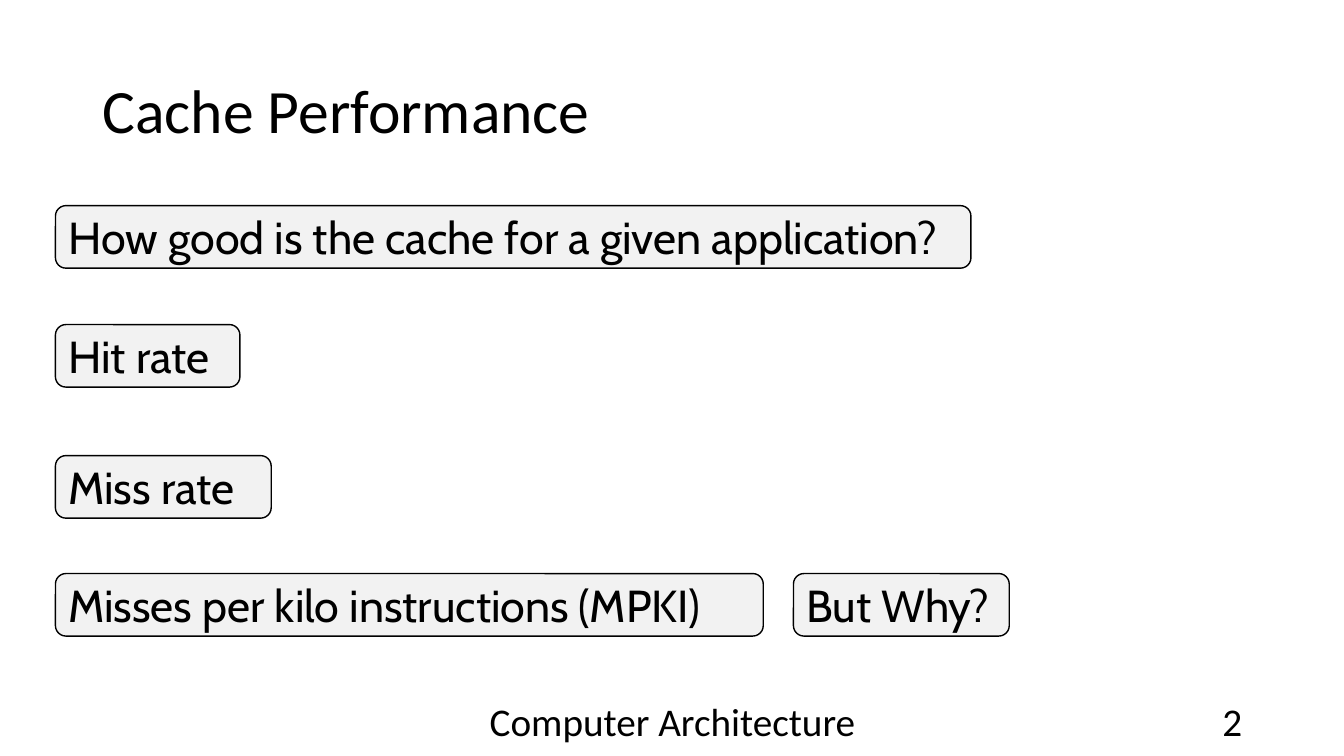
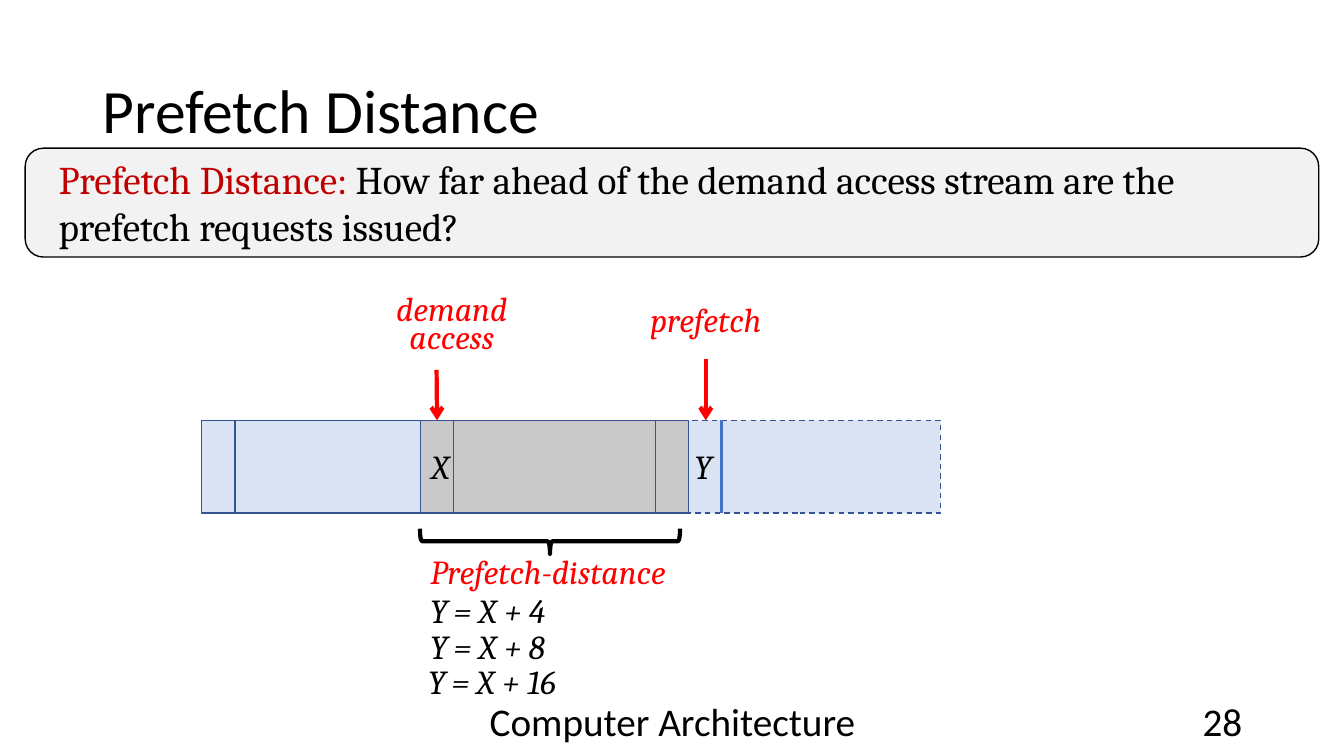
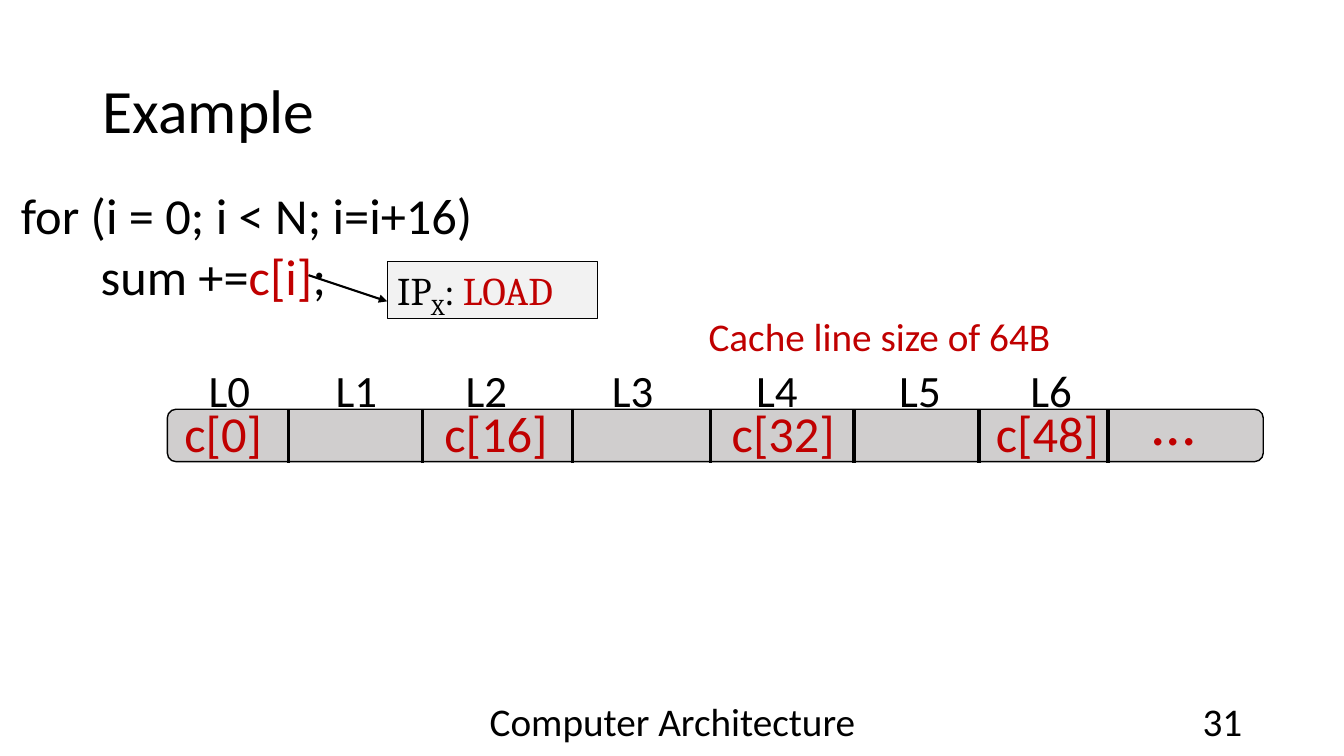
import dataclasses
import typing

import lxml.etree
import pptx
import pptx.dml.color
import pptx.enum.dml
import pptx.enum.shapes
import pptx.enum.text
import pptx.oxml.ns
import pptx.util

EMU_PER_PX = 9144
SHAPE = pptx.enum.shapes.MSO_SHAPE
ALIGN = pptx.enum.text.PP_ALIGN
ANCHOR = pptx.enum.text.MSO_ANCHOR
qn = pptx.oxml.ns.qn


@dataclasses.dataclass(frozen=True)
class Theme:
    black: str = "000000"
    white: str = "FFFFFF"
    crimson: str = "C00000"
    red: str = "FF0000"
    panel: str = "F2F2F2"
    stream: str = "DAE3F3"
    stream_edge: str = "325491"
    stream_mark: str = "4472C4"
    gap: str = "C9C9C9"
    memory: str = "D0CECE"
    sans: str = "Calibri"
    serif: str = "Cambria"
    round_sans: str = "Cabin"
    title: int = 44
    code: int = 36
    heading: int = 32
    body: int = 28
    note: int = 24


THEME = Theme()


class Box(typing.NamedTuple):
    left: int
    top: int
    width: int
    height: int


class Span(typing.NamedTuple):
    text: str
    color: str = THEME.black
    baseline: int = 0


class Para(typing.NamedTuple):
    spans: tuple[Span, ...]
    indent: int = 0


@dataclasses.dataclass(frozen=True)
class TextStyle:
    font: str
    size: int
    italic: bool = False
    align: typing.Any = ALIGN.LEFT
    anchor: typing.Any = ANCHOR.MIDDLE
    spacing: typing.Any = None
    wrap: bool = True
    grow: bool = False


@dataclasses.dataclass(frozen=True)
class Look:
    fill: str | None = None
    line: str | None = None
    width: float = 1
    dashed: bool = False


TITLE = TextStyle(THEME.sans, THEME.title, spacing=0.9)
FOOTER = TextStyle(THEME.sans, THEME.body, align=ALIGN.CENTER)
PAGE_NUMBER = dataclasses.replace(FOOTER, align=ALIGN.RIGHT)
METRIC = TextStyle(THEME.round_sans, THEME.heading)
DEFINITION = TextStyle(THEME.serif, THEME.body)
CALLOUT = TextStyle(
    THEME.serif, THEME.note, italic=True, align=ALIGN.CENTER,
    spacing=pptx.util.Pt(20),
)
DISTANCE = dataclasses.replace(CALLOUT, spacing=None)
SYMBOL = TextStyle(
    THEME.serif, THEME.note, italic=True, anchor=ANCHOR.TOP, wrap=False, grow=True
)
CODE = TextStyle(THEME.sans, THEME.code, anchor=ANCHOR.TOP, grow=True)
ELEMENT = dataclasses.replace(CODE, align=ALIGN.CENTER)
ELLIPSIS = dataclasses.replace(ELEMENT, size=THEME.title)
LINE_LABEL = dataclasses.replace(CODE, size=THEME.heading, wrap=False)
LINE_SIZE = dataclasses.replace(LINE_LABEL, size=THEME.body)
INSTRUCTION = dataclasses.replace(
    CODE, font=THEME.serif, size=THEME.body
)

PANEL = Look(THEME.panel, THEME.black)
BLANK = Look(THEME.white)
STREAM = Look(THEME.stream, THEME.stream_edge)
AHEAD = dataclasses.replace(STREAM, dashed=True)
GAP = Look(THEME.gap, THEME.stream_edge)


def px(length: int) -> pptx.util.Emu:
    return pptx.util.Emu(length * EMU_PER_PX)


def rgb(color: str) -> pptx.dml.color.RGBColor:
    return pptx.dml.color.RGBColor.from_string(color)


def plain(text: str, color: str = THEME.black) -> tuple[Para, ...]:
    return (Para((Span(text, color),)),)


def write(shape: typing.Any, paras: tuple[Para, ...], style: TextStyle) -> None:
    frame = shape.text_frame
    frame.text = "\n".join(content.spans[0].text for content in paras)
    frame.word_wrap = style.wrap
    frame.vertical_anchor = style.anchor
    if style.grow:
        frame.auto_size = pptx.enum.text.MSO_AUTO_SIZE.SHAPE_TO_FIT_TEXT
    for para, content in zip(frame.paragraphs, paras):
        para.alignment = style.align
        para.line_spacing = style.spacing
        if content.indent:
            properties = para._p.get_or_add_pPr()
            properties.set("marL", str(px(content.indent)))
            properties.set("indent", "0")
        for extra in content.spans[1:]:
            para.add_run().text = extra.text
        for span, source in zip(para.runs, content.spans):
            span.font.name = style.font
            span.font.size = pptx.util.Pt(style.size)
            span.font.italic = style.italic
            span.font.color.rgb = rgb(source.color)
            if source.baseline:
                span._r.get_or_add_rPr().set("baseline", str(source.baseline * 1000))


def add_text(
    page: typing.Any, box: Box, paras: tuple[Para, ...], style: TextStyle
) -> None:
    write(page.shapes.add_textbox(*map(px, box)), paras, style)


def add_shape(
    page: typing.Any,
    kind: typing.Any,
    box: Box,
    look: Look,
    paras: tuple[Para, ...] = (),
    style: TextStyle = DEFINITION,
) -> typing.Any:
    shape = page.shapes.add_shape(kind, *map(px, box))
    shape.shadow.inherit = False
    if look.fill:
        shape.fill.solid()
        shape.fill.fore_color.rgb = rgb(look.fill)
    else:
        shape.fill.background()
    if look.line:
        shape.line.color.rgb = rgb(look.line)
        shape.line.width = pptx.util.Pt(look.width)
        if look.dashed:
            shape.line.dash_style = pptx.enum.dml.MSO_LINE.DASH
    else:
        shape.line.fill.background()
    if paras:
        write(shape, paras, style)
    return shape


def add_line(
    page: typing.Any,
    start: tuple[int, int],
    end: tuple[int, int],
    color: str,
    width: float,
    arrow: str = "",
) -> typing.Any:
    connector = page.shapes.add_connector(
        pptx.enum.shapes.MSO_CONNECTOR.STRAIGHT, *map(px, start + end)
    )
    connector.line.color.rgb = rgb(color)
    connector.line.width = pptx.util.Pt(width)
    properties = connector.element.spPr
    if arrow:
        lxml.etree.SubElement(
            properties.find(qn("a:ln")), qn("a:tailEnd"), type=arrow
        )
    lxml.etree.SubElement(properties, qn("a:effectLst"))
    return connector


def add_page(deck: typing.Any, title: str, number: int) -> typing.Any:
    page = deck.slides.add_slide(deck.slide_layouts[6])
    add_text(page, Box(92, 40, 1150, 145), plain(title), TITLE)
    add_text(page, Box(442, 695, 450, 40), plain("Computer Architecture"), FOOTER)
    add_text(page, Box(942, 695, 300, 40), plain(str(number)), PAGE_NUMBER)
    return page


def build_performance(deck: typing.Any) -> None:
    page = add_page(deck, "Cache Performance", 2)
    metrics = (
        (55, 204, 908, "How good is the cache for a given application?"),
        (55, 322, 183, "Hit rate"),
        (55, 452, 214, "Miss rate"),
        (55, 569, 702, "Misses per kilo instructions (MPKI)"),
        (787, 569, 214, "But Why?"),
    )
    for left, top, width, text in metrics:
        box = Box(left, top, width, 62)
        add_shape(page, SHAPE.ROUNDED_RECTANGLE, box, PANEL, plain(text), METRIC)


def build_distance(deck: typing.Any) -> None:
    page = add_page(deck, "Prefetch Distance", 28)
    question = "How far ahead of the demand access stream are the prefetch requests issued?"
    definition = Para((Span("Prefetch Distance: ", THEME.crimson), Span(question)), 18)
    add_shape(
        page, SHAPE.ROUNDED_RECTANGLE, Box(25, 147, 1283, 108), PANEL,
        (definition,), DEFINITION,
    )

    stream_top, stream_height = 417, 92
    segments = (
        (650, 283, AHEAD),
        (233, 417, STREAM),
        (200, 33, STREAM),
        (450, 200, GAP),
        (650, 33, GAP),
        (417, 33, GAP),
    )
    for left, width, look in segments:
        box = Box(left, stream_top, width, stream_height)
        demand_cell = add_shape(page, SHAPE.RECTANGLE, box, look)

    callouts = (
        (Box(377, 292, 142, 67), "demand access", CALLOUT),
        (Box(410, 550, 267, 33), "Prefetch-distance", DISTANCE),
        (Box(629, 289, 142, 67), "prefetch", CALLOUT),
    )
    for box, text, style in callouts:
        prefetch_callout = add_shape(
            page, SHAPE.RECTANGLE, box, BLANK, plain(text, THEME.red), style
        )

    demand_arrow = add_line(page, (433, 367), (433, stream_top), THEME.red, 3, "arrow")
    demand_arrow.end_connect(demand_cell, 0)
    prefetch_arrow = add_line(page, (700, 356), (700, stream_top), THEME.red, 3, "arrow")
    prefetch_arrow.begin_connect(prefetch_callout, 2)

    brace = add_shape(
        page, SHAPE.LEFT_BRACE, Box(533, 408, 25, 258), Look(line=THEME.black, width=3)
    )
    brace.rotation = 270

    for left, text in ((418, "X"), (679, "Y")):
        add_text(page, Box(left, 437, 39, 50), plain(text), SYMBOL)
    equations = ((417, 580, 114, 4), (417, 616, 114, 8), (415, 651, 132, 16))
    for left, top, width, distance in equations:
        add_text(page, Box(left, top, 39, 50), plain("Y"), SYMBOL)
        add_text(page, Box(left + 23, top, width, 50), plain(f"= X + {distance}"), SYMBOL)

    stream_bottom = stream_top + stream_height
    add_line(page, (716, stream_top), (716, stream_bottom), THEME.stream_mark, 2)


def build_example(deck: typing.Any) -> None:
    page = add_page(deck, "Example", 31)
    add_shape(
        page, SHAPE.ROUNDED_RECTANGLE, Box(166, 406, 1087, 52),
        Look(THEME.memory, THEME.black),
    )
    loop = (
        Para((Span("for (i = 0; i < N; i=i+16)"),)),
        Para((Span("sum +="), Span("c[i]", THEME.crimson), Span(";")), 79),
    )
    add_text(page, Box(11, 178, 904, 131), loop, CODE)

    elements = ((169, 105), (424, 136), (710, 134), (974, 130))
    for index, (left, width) in enumerate(elements):
        text = plain(f"c[{16 * index}]", THEME.crimson)
        add_text(page, Box(left, 394, width, 71), text, ELEMENT)
    add_text(page, Box(1117, 376, 94, 84), plain("...", THEME.crimson), ELLIPSIS)

    for left in (286, 419, 568, 705, 847, 971, 1099):
        add_line(page, (left, 406), (left, 459), THEME.black, 2.25)
    for index, left in enumerate((197, 323, 452, 597, 740, 882, 1012)):
        add_text(page, Box(left, 355, 62, 64), plain(f"L{index}"), LINE_LABEL)

    add_text(
        page, Box(693, 305, 363, 57),
        plain("Cache line size of 64B", THEME.crimson), LINE_SIZE,
    )
    instruction = Para(
        (Span("IP"), Span("X", baseline=-25), Span(": "), Span("LOAD", THEME.crimson))
    )
    add_shape(
        page, SHAPE.RECTANGLE, Box(384, 259, 209, 57),
        Look(THEME.panel, THEME.black, 0.75), (instruction,), INSTRUCTION,
    )
    add_line(page, (306, 273), (384, 299), THEME.black, 1.5, "triangle")


def main() -> None:
    deck = pptx.Presentation()
    deck.slide_width = px(1333)
    deck.slide_height = px(750)
    build_performance(deck)
    build_distance(deck)
    build_example(deck)
    deck.save("out.pptx")


if __name__ == "__main__":
    main()
